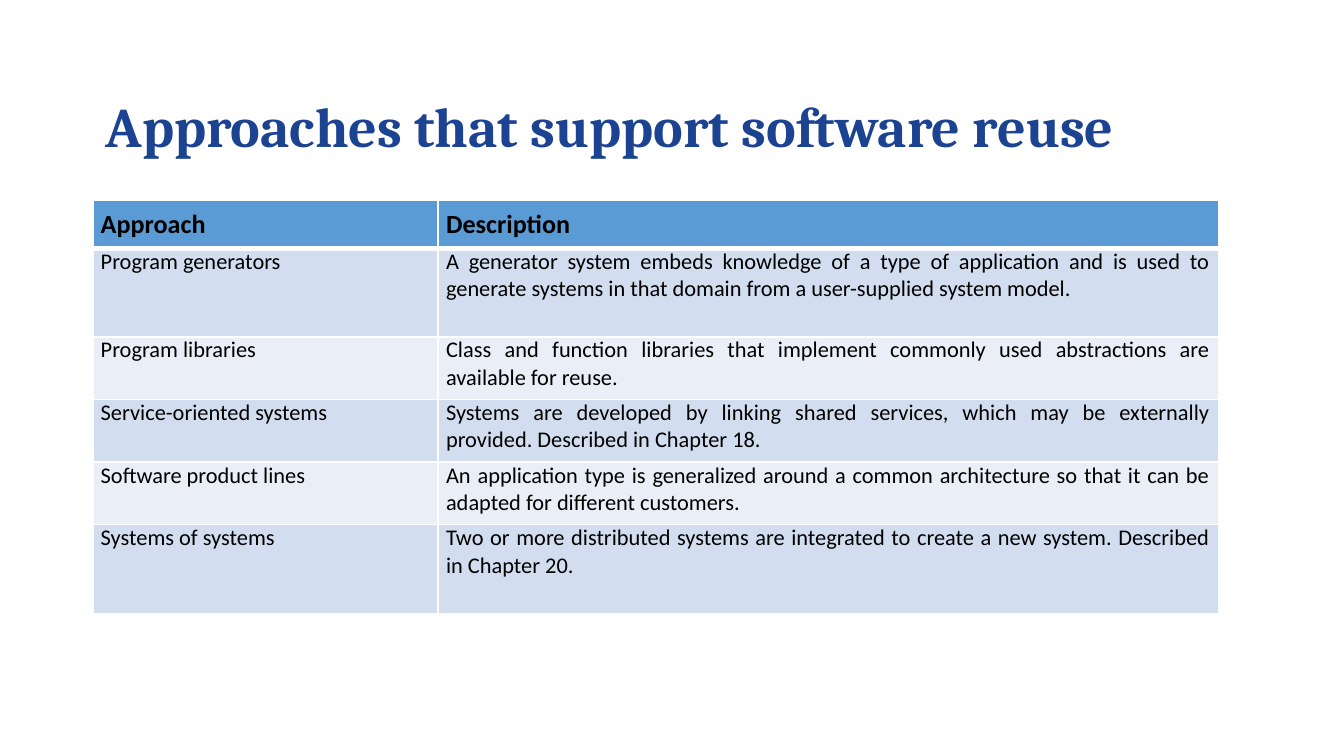
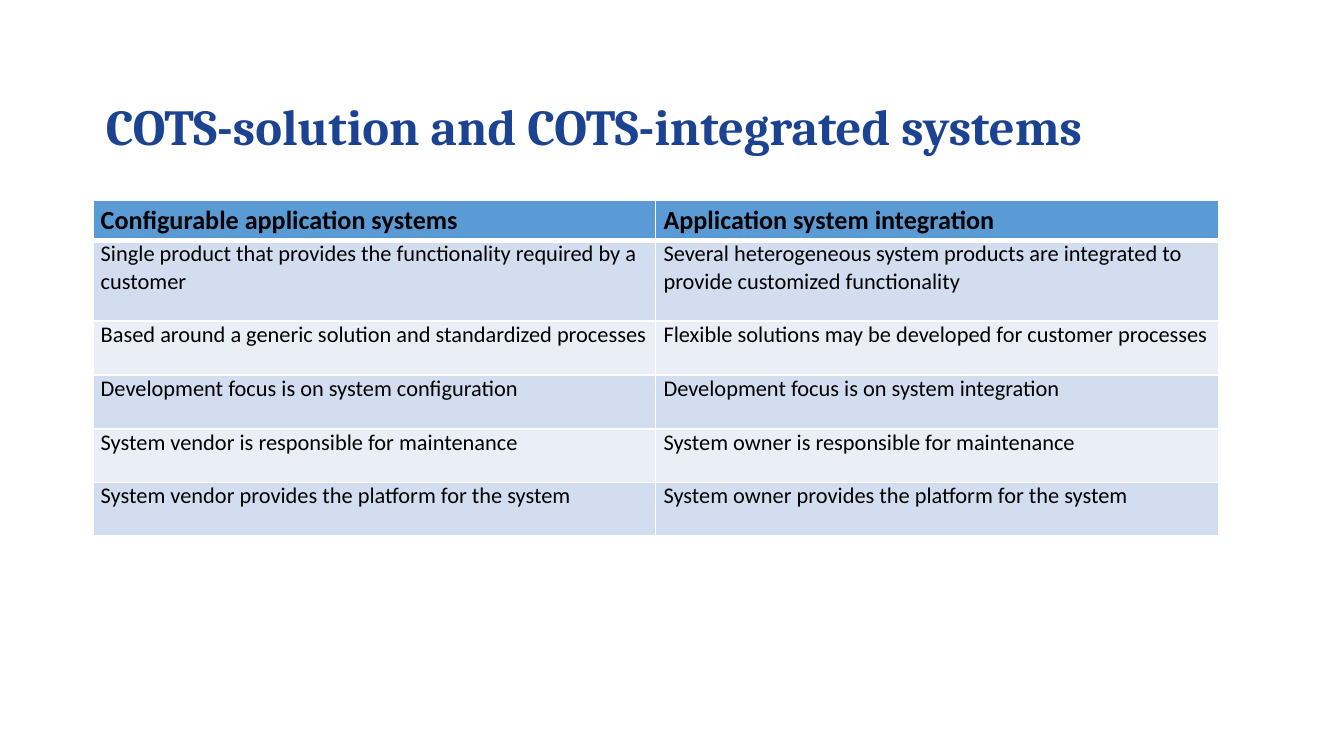
"""Build two slides that compare software reuse approaches in tables."""
import dataclasses

import lxml.etree
import pptx
import pptx.dml.color
import pptx.enum.text
import pptx.oxml.ns
import pptx.util

Pt = pptx.util.Pt
Align = pptx.enum.text.PP_ALIGN
Anchor = pptx.enum.text.MSO_ANCHOR
qn = pptx.oxml.ns.qn

SLIDES = [
    {
        "title": "Approaches that support software reuse",
        "size": 30,
        "cols": [185, 418],
        "rows": [23, 47.5, 33, 33, 33, 47.5],
        "pad": {"head": (4.3, 4.3), "body": (0, 4.3)},
        "anchor": Anchor.TOP,
        "align": [Align.LEFT, Align.JUSTIFY],
        "cells": [
            ("Approach", "Description"),
            ("Program generators",
             "A generator system embeds knowledge of a type of application and is used "
             "to generate systems in that domain from a user-supplied system model."),
            ("Program libraries",
             "Class and function libraries that implement commonly used abstractions "
             "are available for reuse."),
            ("Service-oriented systems",
             "Systems are developed by linking shared services, which may be "
             "externally provided. Described in Chapter 18."),
            ("Software product lines",
             "An application type is generalized around a common architecture so that "
             "it can be adapted for different customers."),
            ("Systems of systems",
             "Two or more distributed systems are integrated to create a new system. "
             "Described in Chapter 20."),
        ],
    },
    {
        "title": "COTS-solution and COTS-integrated systems",
        "size": 27,
        "cols": [301.5, 301.5],
        "rows": [21.6, 43.2] + [28.8] * 4,
        "pad": {"head": (0, 0), "body": (0, 0)},
        "anchor": Anchor.MIDDLE,
        "align": [Align.LEFT, Align.LEFT],
        "cells": [
            ("Configurable application systems", "Application system integration"),
            ("Single product that provides the functionality required by a customer",
             "Several heterogeneous system products are integrated to provide "
             "customized functionality"),
            ("Based around a generic solution and standardized processes",
             "Flexible solutions may be developed for customer processes"),
            ("Development focus is on system configuration",
             "Development focus is on system integration"),
            ("System vendor is responsible for maintenance",
             "System owner is responsible for maintenance"),
            ("System vendor provides the platform for the system",
             "System owner provides the platform for the system"),
        ],
    },
]


@dataclasses.dataclass(frozen=True)
class Theme:
    title: str = "1C4392"
    ink: str = "000000"
    head: str = "5B9BD5"
    bands: tuple = ("D2DEEF", "EAEFF7")
    rule: str = "FFFFFF"
    serif: str = "Cambria"
    sans: str = "Calibri"
    big: int = 14
    small: int = 12
    thin: int = 1
    thick: int = 3


THEME = Theme()
LEFT, WIDTH = 49.7, 603
TITLE_TOP, TITLE_HIGH = 44.6, 49.7
TABLE_TOP = 107.3
SIDE = 4.3


def rgb(code):
    return pptx.dml.color.RGBColor.from_string(code)


def style(para, face, size, color, bold):
    for run in para.runs:
        font = run.font
        font.name, font.size, font.bold = face, Pt(size), bold
        font.color.rgb = rgb(color)


def border(cell, row):
    props = cell._tc.get_or_add_tcPr()
    wide = {"L": THEME.thin, "R": THEME.thin,
            "T": THEME.thick if row == 1 else THEME.thin,
            "B": THEME.thick if row == 0 else THEME.thin}
    for spot, (side, width) in enumerate(wide.items()):
        line = lxml.etree.Element(qn(f"a:ln{side}"), w=str(Pt(width)))
        fill = lxml.etree.SubElement(line, qn("a:solidFill"))
        lxml.etree.SubElement(fill, qn("a:srgbClr"), val=THEME.rule)
        props.insert(spot, line)


def add_title(slide, data):
    box = slide.shapes.add_textbox(Pt(LEFT), Pt(TITLE_TOP), Pt(WIDTH), Pt(TITLE_HIGH))
    frame = box.text_frame
    frame.word_wrap = True
    frame.vertical_anchor = Anchor.MIDDLE
    frame.text = data["title"]
    para = frame.paragraphs[0]
    para.line_spacing = 0.9
    style(para, THEME.serif, data["size"], THEME.title, True)


def fill_cell(cell, text, row, col, data):
    head = row == 0
    cell.margin_left = cell.margin_right = Pt(SIDE)
    top, base = data["pad"]["head" if head else "body"]
    cell.margin_top, cell.margin_bottom = Pt(top), Pt(base)
    cell.vertical_anchor = data["anchor"] if head else Anchor.TOP
    cell.fill.solid()
    cell.fill.fore_color.rgb = rgb(THEME.head if head else THEME.bands[(row - 1) % 2])
    border(cell, row)
    cell.text_frame.text = text
    para = cell.text_frame.paragraphs[0]
    para.alignment = Align.JUSTIFY if head else data["align"][col]
    style(para, THEME.sans, THEME.big if head else THEME.small, THEME.ink, head)


def add_grid(slide, data):
    cols, rows = data["cols"], data["rows"]
    grid = slide.shapes.add_table(len(rows), len(cols), Pt(LEFT), Pt(TABLE_TOP),
                                  Pt(sum(cols)), Pt(sum(rows))).table
    for col, width in enumerate(cols):
        grid.columns[col].width = Pt(width)
    for row, texts in enumerate(data["cells"]):
        grid.rows[row].height = Pt(rows[row])
        for col, text in enumerate(texts):
            fill_cell(grid.cell(row, col), text, row, col, data)


def main():
    deck = pptx.Presentation()
    deck.slide_width, deck.slide_height = Pt(720), Pt(405)
    for data in SLIDES:
        slide = deck.slides.add_slide(deck.slide_layouts[6])
        add_grid(slide, data)
        add_title(slide, data)
    deck.save("out.pptx")


if __name__ == "__main__":
    main()
